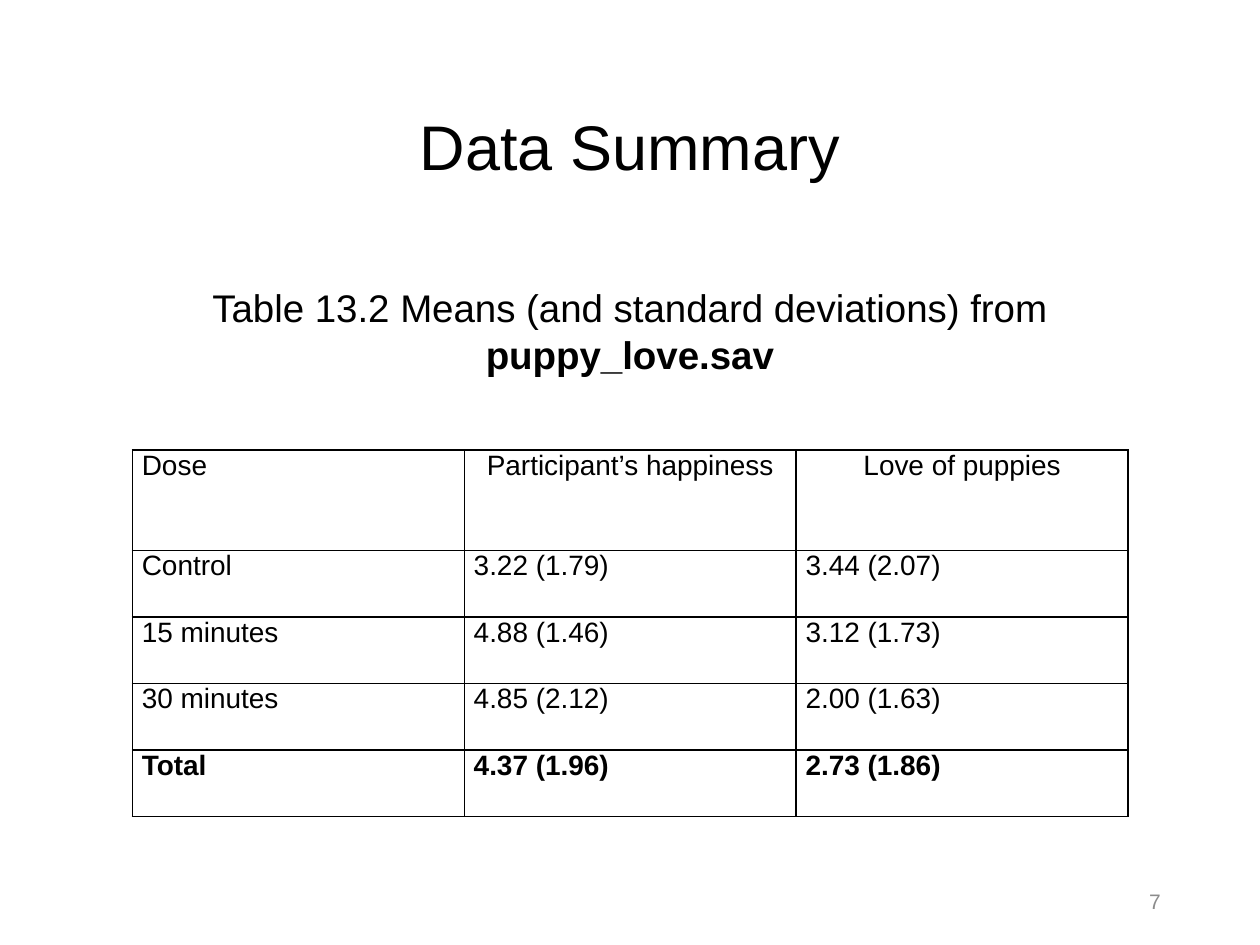
import pptx
import pptx.util
import pptx.dml.color
import pptx.enum.text
import lxml.etree
from pptx.util import Cm, Pt

ALIGN = pptx.enum.text.PP_ALIGN
ANCHOR = pptx.enum.text.MSO_ANCHOR


def style(p, size, color, align=ALIGN.LEFT):
    p.alignment = align
    p.font.size = Pt(size)
    p.font.name = "Arial"
    p.font.color.rgb = pptx.dml.color.RGBColor.from_string(color)


def border(cell):
    for side in ("lnL", "lnR", "lnT", "lnB"):
        ln = pptx.oxml.parse_xml(
            f'<a:{side} xmlns:a="http://schemas.openxmlformats.org/drawingml/2006/main" w="12700">'
            '<a:solidFill><a:srgbClr val="000000"/></a:solidFill>'
            f'</a:{side}>'
        )
        cell._tc.get_or_add_tcPr().append(ln)


prs = pptx.Presentation()
prs.slide_width, prs.slide_height = Cm(25.4), Cm(19.05)
s = prs.slides.add_slide(prs.slide_layouts[6])

texts = [
    ((1.75, 1.19, 21.9, 3.68), ["Data Summary"], 36, "000000", ALIGN.CENTER, ANCHOR.MIDDLE, 0.9),
    ((1.75, 5.61, 21.9, 2.62), ["Table 13.2 Means (and standard deviations) from ", "puppy_love.sav"],
     22, "000000", ALIGN.CENTER, ANCHOR.TOP, 1.0),
    ((17.93, 17.65, 5.72, 1.02), ["7"], 12, "8C8C8C", ALIGN.RIGHT, ANCHOR.MIDDLE, 1.0),
]
for box, runs, size, color, align, anchor, spacing in texts:
    sp = s.shapes.add_textbox(*[Cm(v) for v in box])
    tf = sp.text_frame
    tf.word_wrap = True
    tf.vertical_anchor = anchor
    p = tf.paragraphs[0]
    p.line_spacing = spacing
    style(p, size, color, align)
    for i, text in enumerate(runs):
        r = p.add_run()
        r.text = text
        if i == 1:
            r.font.bold = True

rows = [
    ("Dose", "Participant’s happiness", "Love of puppies"),
    ("Control", "3.22 (1.79)", "3.44 (2.07)"),
    ("15 minutes", "4.88 (1.46)", "3.12 (1.73)"),
    ("30 minutes", "4.85 (2.12)", "2.00 (1.63)"),
    ("Total", "4.37 (1.96)", "2.73 (1.86)"),
]
table = s.shapes.add_table(len(rows), 3, Cm(2.67), Cm(9.07), Cm(20.07), Cm(7.39)).table
table.first_row = False
table.horz_banding = False
for col in table.columns:
    col.width = Cm(6.69)
for i, row in enumerate(rows):
    table.rows[i].height = Cm(2.03 if i == 0 else 1.34)
    for j, text in enumerate(row):
        cell = table.cell(i, j)
        cell.margin_left = cell.margin_right = Cm(0.19)
        cell.margin_top = cell.margin_bottom = 0
        border(cell)
        cell.fill.background()
        p = cell.text_frame.paragraphs[0]
        p.text = text
        style(p, 16, "000000", ALIGN.CENTER if i == 0 and j > 0 else ALIGN.LEFT)
        p.font.bold = i == len(rows) - 1

prs.save("out.pptx")
